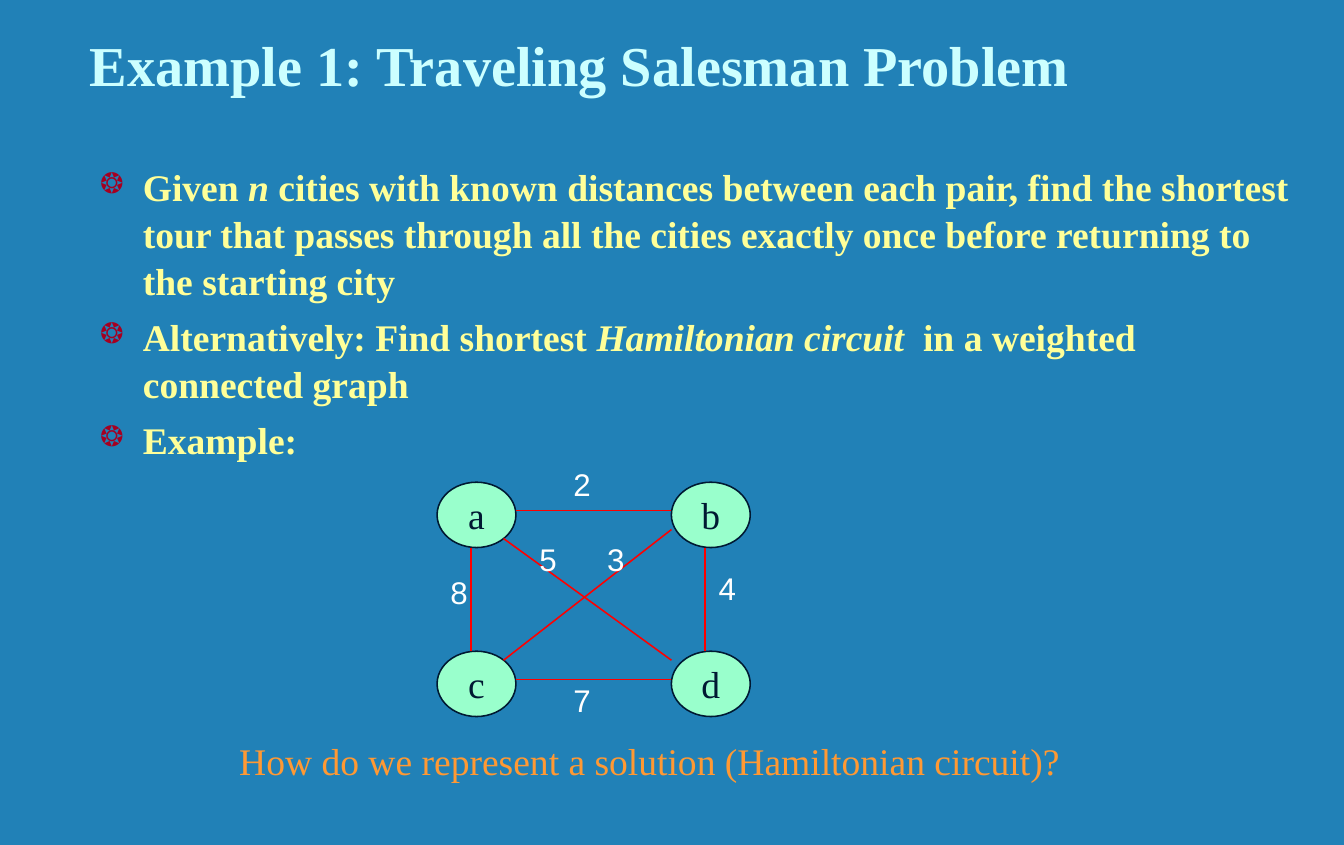
from lxml import etree
from pptx import Presentation
from pptx.dml.color import RGBColor
from pptx.enum.shapes import MSO_CONNECTOR, MSO_SHAPE
from pptx.enum.text import MSO_ANCHOR, PP_ALIGN
from pptx.oxml.ns import qn
from pptx.util import Inches, Pt

# Content
TITLE = "Example 1: Traveling Salesman Problem"
# Each bullet is a list of (text, italic)
BULLETS = [
    [("Given ", False), ("n", True),
     (" cities with known distances between each pair, find the shortest "
      "tour that passes through all the cities exactly once before "
      "returning to the starting city", False)],
    [("Alternatively: Find shortest ", False), ("Hamiltonian circuit ", True),
     (" in a weighted connected graph", False)],
    [("Example:", False)],
]
QUESTION = "How do we represent a solution (Hamiltonian circuit)?"

# Cities: column and row in the grid
CITIES = {"a": (0, 0), "b": (1, 0), "c": (0, 1), "d": (1, 1)}
GRID_LEFT, GRID_TOP, COLUMN_STEP, ROW_STEP = 3.88, 4.28, 2.08, 1.5
CITY_WIDTH, CITY_HEIGHT = 0.7, 0.58

# Points on a city where roads attach, from its top left corner
PORTS = {
    "right": (CITY_WIDTH, 0.25), "left": (0, 0.25),
    "top": (0.3, 0), "bottom": (0.3, CITY_HEIGHT),
    "lower right": (0.59, 0.5), "upper right": (0.59, 0.08),
    "lower left": (0, 0.42), "upper left": (0, 0.08),
}
# Roads: start city, port, end city, port, distance, label left and top
ROADS = [
    ("a", "right", "b", "left", "2", 4.99, 4.08),
    ("a", "bottom", "c", "top", "8", 3.9, 5.04),
    ("c", "right", "d", "left", "7", 4.99, 6),
    ("b", "bottom", "d", "top", "4", 6.28, 5),
    ("a", "lower right", "d", "upper left", "5", 4.69, 4.75),
    ("b", "lower left", "c", "upper right", "3", 5.29, 4.75),
]

SERIF, SANS = "Times New Roman", "Arial"
BLUE, PALE_CYAN, YELLOW, ORANGE = "2181B7", "CCFFFF", "FFFF99", "FF9933"
MINT, NAVY, RED, DARK_RED, WHITE = "99FFCC", "001932", "FF0000", "A50021", "FFFFFF"


def color(value):
    return RGBColor.from_string(value)


def style(font, size, name, value, bold=False):
    font.size, font.name, font.bold = Pt(size), name, bold
    font.color.rgb = color(value)


def add_text(page, place, text, size, name, value, bold=False,
             align=PP_ALIGN.LEFT, anchor=MSO_ANCHOR.TOP, wrap=True):
    frame = page.shapes.add_textbox(*map(Inches, place)).text_frame
    frame.text = text
    frame.word_wrap, frame.vertical_anchor = wrap, anchor
    para = frame.paragraphs[0]
    para.alignment = align
    style(para.font, size, name, value, bold)
    return frame


def add_bullet(para):
    properties = para._p.get_or_add_pPr()
    properties.set("marL", str(Inches(0.38)))
    properties.set("indent", str(-Inches(0.38)))
    tint = etree.SubElement(properties, qn("a:buClr"))
    etree.SubElement(tint, qn("a:srgbClr"), val=DARK_RED)
    etree.SubElement(properties, qn("a:buSzPct"), val="75000")
    etree.SubElement(properties, qn("a:buChar"), char="❂")


def city_corner(city):
    column, row = CITIES[city]
    return GRID_LEFT + column * COLUMN_STEP, GRID_TOP + row * ROW_STEP


def port_point(city, port):
    return [Inches(a + b) for a, b in zip(city_corner(city), PORTS[port])]


def add_city(page, city):
    left, top = city_corner(city)
    oval = page.shapes.add_shape(
        MSO_SHAPE.OVAL, *map(Inches, (left, top, CITY_WIDTH, CITY_HEIGHT)))
    oval.shadow.inherit = False
    oval.fill.solid()
    oval.fill.fore_color.rgb = color(MINT)
    oval.line.color.rgb = color(NAVY)
    oval.line.width = Pt(1)
    frame = oval.text_frame
    frame.text = city
    frame.word_wrap, frame.vertical_anchor = False, MSO_ANCHOR.MIDDLE
    para = frame.paragraphs[0]
    para.alignment = PP_ALIGN.CENTER
    style(para.font, 24, SERIF, NAVY)


def add_road(page, start, end):
    road = page.shapes.add_connector(MSO_CONNECTOR.STRAIGHT, *start, *end)
    road.line.color.rgb = color(RED)
    road.line.width = Pt(1)
    etree.SubElement(road._element.spPr, qn("a:effectLst"))


def main():
    deck = Presentation()
    deck.slide_width, deck.slide_height = Inches(11.93), Inches(7.5)
    page = deck.slides.add_slide(deck.slide_layouts[6])
    page.background.fill.solid()
    page.background.fill.fore_color.rgb = color(BLUE)

    # Title
    add_text(page, (0.7, 0.17, 11.23, 0.75), TITLE, 36, SERIF, PALE_CYAN,
             bold=True, anchor=MSO_ANCHOR.BOTTOM)

    # Bullets
    body = page.shapes.add_textbox(*map(Inches, (0.79, 1.39, 10.84, 5.36)))
    frame = body.text_frame
    frame.word_wrap = True
    for index, pieces in enumerate(BULLETS):
        para = frame.add_paragraph() if index else frame.paragraphs[0]
        add_bullet(para)
        para.line_spacing = 1.04
        if index:
            para.space_before = Pt(6)
        style(para.font, 24, SERIF, YELLOW, bold=True)
        for text, italic in pieces:
            span = para.add_run()
            span.text = text
            span.font.italic = italic

    # Graph
    for city in CITIES:
        add_city(page, city)
    for start, start_port, end, end_port, *_ in ROADS:
        add_road(page, port_point(start, start_port), port_point(end, end_port))
    for *_, distance, left, top in ROADS:
        add_text(page, (left, top, 0.35, 0.44), distance, 20, SANS, WHITE,
                 align=PP_ALIGN.CENTER, wrap=False)

    # Question
    add_text(page, (1.29, 6.5, 8.95, 0.5), QUESTION, 24, SERIF, ORANGE,
             align=PP_ALIGN.CENTER)

    deck.save("out.pptx")


if __name__ == "__main__":
    main()
